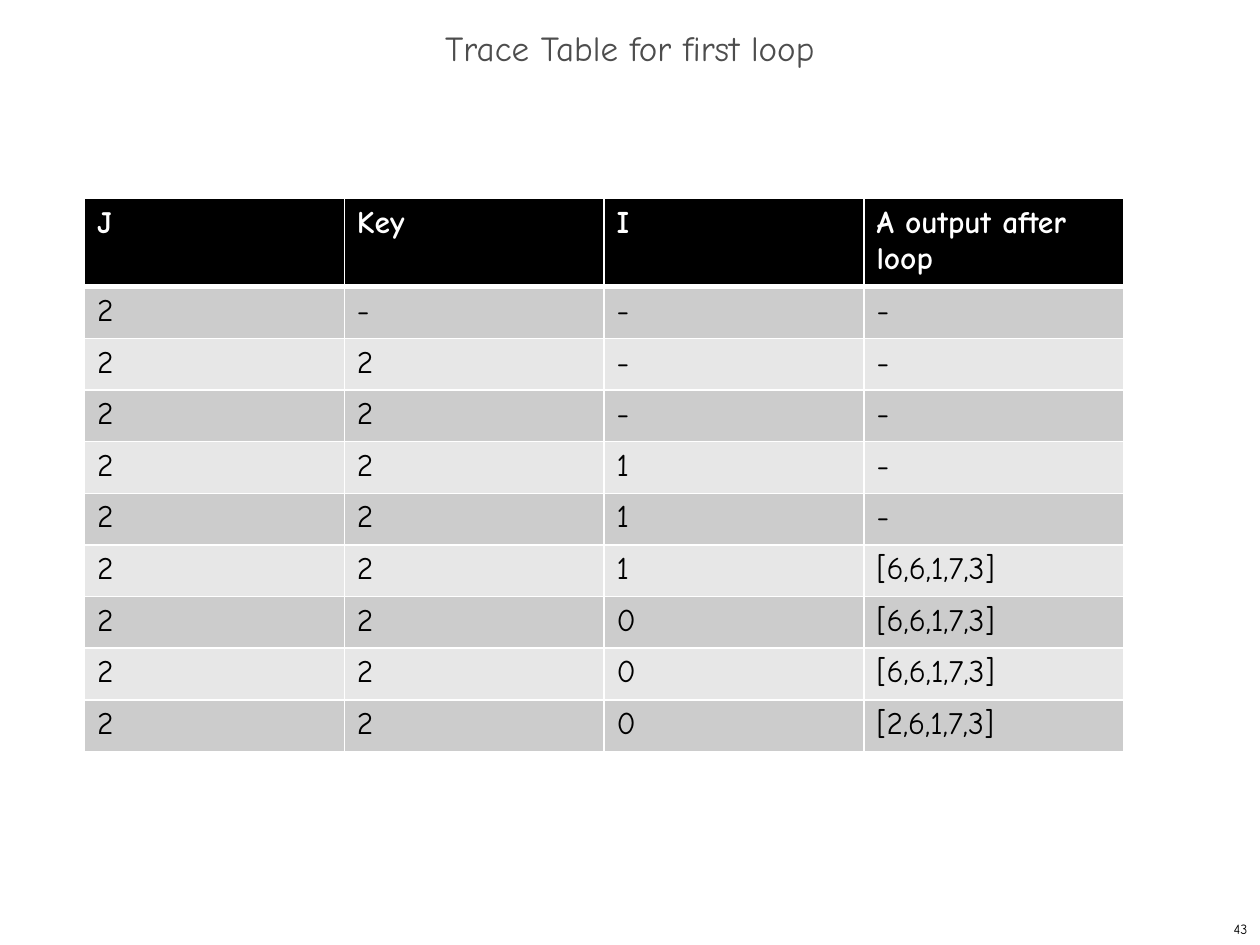
from lxml.etree import SubElement
from pptx import Presentation
from pptx.dml.color import RGBColor as RGB
from pptx.enum.text import MSO_ANCHOR as Anchor, PP_ALIGN as Align
from pptx.oxml.ns import qn
from pptx.util import Inches, Pt

WIDE, HIGH = Inches(10), Inches(7.5)
FACE = "Comic Neue"
BLACK = RGB(0x00, 0x00, 0x00)
WHITE = RGB(0xFF, 0xFF, 0xFF)
GREY = RGB(0x4D, 0x4D, 0x4D)
BANDS = RGB(0xCC, 0xCC, 0xCC), RGB(0xE7, 0xE7, 0xE7)

ROWS = [
    ("J", "Key", "I", "A output after loop"),
    ("2", "-", "-", "-"),
    ("2", "2", "-", "-"),
    ("2", "2", "-", "-"),
    ("2", "2", "1", "-"),
    ("2", "2", "1", "-"),
    ("2", "2", "1", "[6,6,1,7,3]"),
    ("2", "2", "0", "[6,6,1,7,3]"),
    ("2", "2", "0", "[6,6,1,7,3]"),
    ("2", "2", "0", "[2,6,1,7,3]"),
]


def share(left, top, width, height):
    """Turn shares of the slide into a box."""
    return [round(part * side) for part, side in
            zip((left, top, width, height), (WIDE, HIGH, WIDE, HIGH))]


def style(para, size, color, bold=False):
    for run in para.runs:
        font = run.font
        font.name, font.size, font.bold = FACE, Pt(size), bold
        font.color.rgb = color


def add_line(frame, text, size, color, align):
    """Write one line of text, centred in height."""
    frame.text = text
    frame.vertical_anchor = Anchor.MIDDLE
    para = frame.paragraphs[0]
    para.alignment = align
    style(para, size, color)
    return para


def add_title(slide, box):
    title = slide.shapes.title
    title.left, title.top, title.width, title.height = box
    para = add_line(title.text_frame, "Trace Table for first loop",
                    20, GREY, Align.CENTER)
    para.line_spacing = 0.7


def add_number(slide, box):
    frame = slide.shapes.add_textbox(*box).text_frame
    frame.word_wrap = False
    add_line(frame, "43", 8, BLACK, Align.RIGHT)


def add_rules(cell, head):
    """Draw white cell borders, with a thick one below the header."""
    props = cell._tc.get_or_add_tcPr()
    for side in "LRTB":
        width = 3 if head and side == "B" else 1
        rule = SubElement(props, qn(f"a:ln{side}"), w=str(Pt(width)))
        fill = SubElement(rule, qn("a:solidFill"))
        SubElement(fill, qn("a:srgbClr"), val=str(WHITE))


def add_trace(slide, box):
    table = slide.shapes.add_table(len(ROWS), len(ROWS[0]), *box).table
    for row, texts in enumerate(ROWS):
        table.rows[row].height = Inches(0.41)
        head = row == 0
        for col, text in enumerate(texts):
            cell = table.cell(row, col)
            cell.text = text
            style(cell.text_frame.paragraphs[0], 18,
                  WHITE if head else BLACK, head)
            add_rules(cell, head)
            cell.fill.solid()
            cell.fill.fore_color.rgb = BLACK if head else BANDS[(row - 1) % 2]


def main():
    deck = Presentation()
    deck.slide_width, deck.slide_height = WIDE, HIGH
    slide = deck.slides.add_slide(deck.slide_layouts[5])
    add_title(slide, share(0, 0.17 / 7.5, 1, 1 / 15))
    add_number(slide, share(0.792, 29 / 30, 0.208, 1 / 30))
    add_trace(slide, share(0.067, 0.21, 0.825, 0.58))
    deck.save("out.pptx")


if __name__ == "__main__":
    main()
